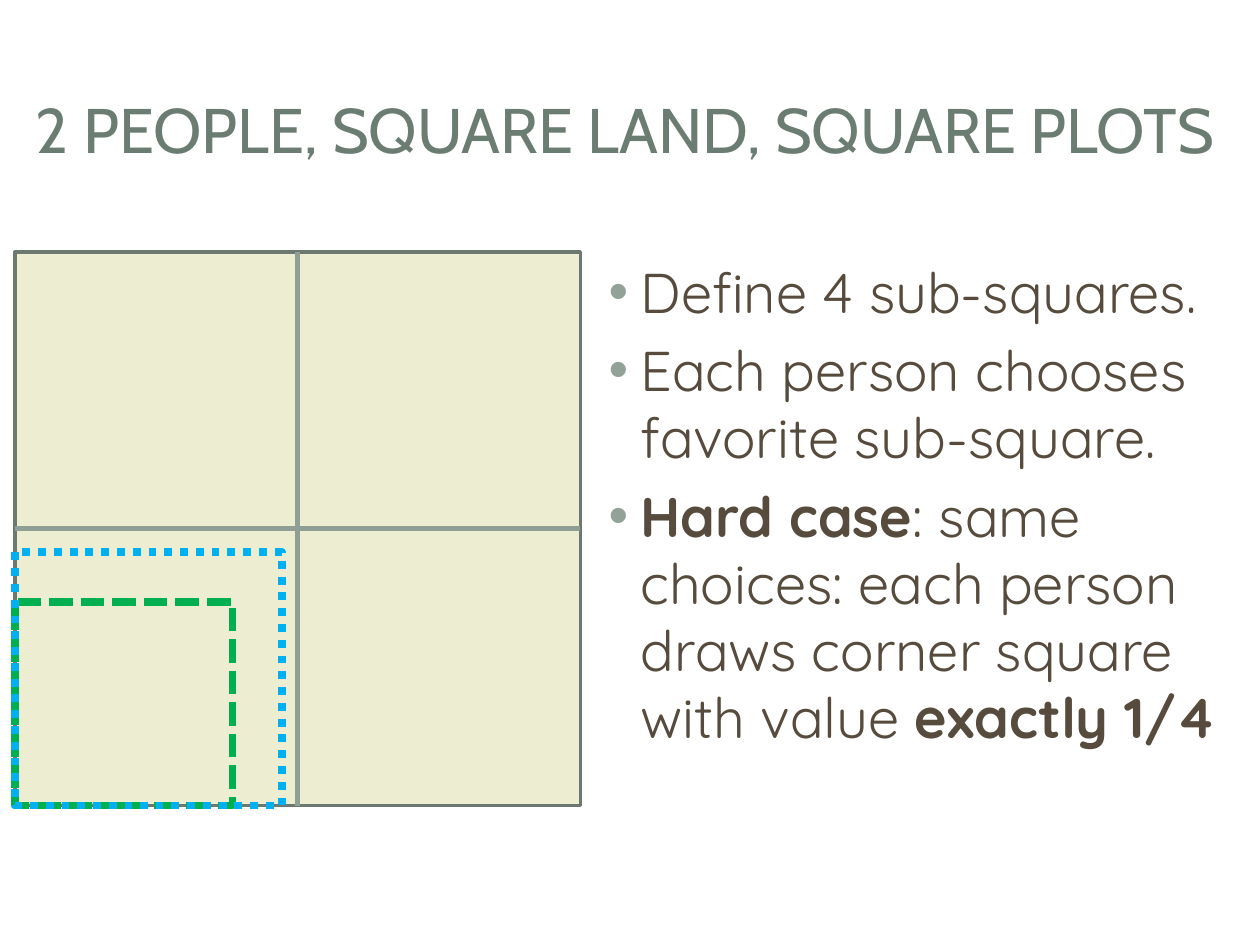
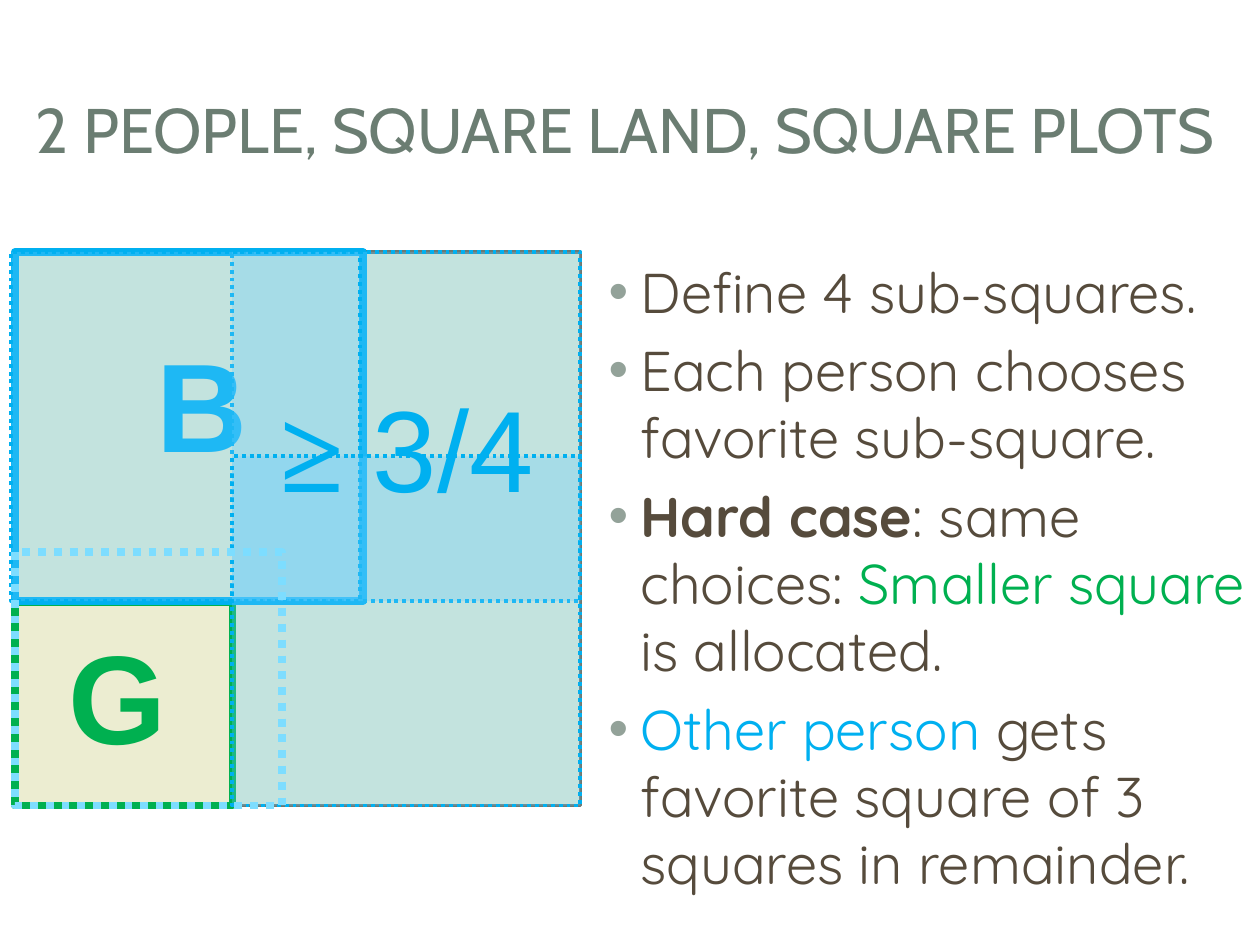
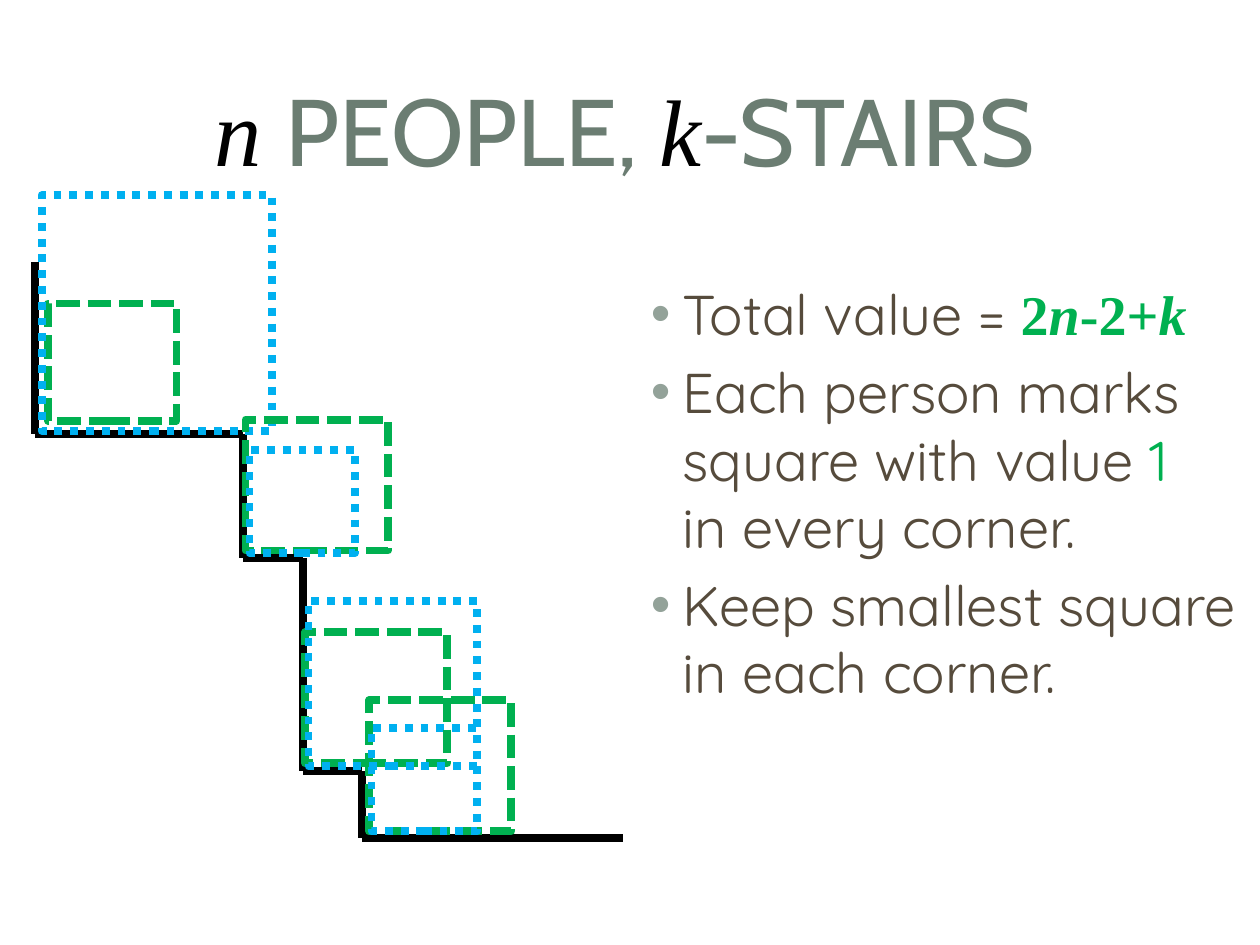
from itertools import pairwise

from lxml import etree
from pptx import Presentation
from pptx.dml import color
from pptx.enum import dml, shapes, text
from pptx.oxml import ns
from pptx.util import Cm, Pt

GREEN, BLUE, PALE_BLUE, SKY = "00B050", "00B0F0", "7DDDFF", "66CCFF"
TITLE_COLOR, BODY_COLOR, BULLET_COLOR = "6B7D72", "564B3C", "93A299"
LAND_FILL, LAND_LINE, CROSS_COLOR, BLACK = "ECEDD1", "6D7871", "8F9F96", "000000"
TITLE_FONT, BODY_FONT, LABEL_FONT, MATH_FONT = "Cabin", "Quicksand", "Arial", "Times New Roman"

DASHES = dml.MSO_LINE.SQUARE_DOT
DOTS = dml.MSO_LINE.ROUND_DOT
THICK = 4.5

LAND_LEFT, LAND_TOP, LAND_WIDTH, LAND_HEIGHT = 0.3, 5.08, 11.4, 11.16
LAND_RIGHT, LAND_BOTTOM = LAND_LEFT + LAND_WIDTH, LAND_TOP + LAND_HEIGHT
GREEN_SIZE, BLUE_SIZE, REST_SIZE = (4.39, 4.11), (5.38, 5.11), (7.02, 7.04)

LAND_TITLE = "2 PEOPLE, SQUARE LAND, SQUARE PLOTS"
MATH = {"font": MATH_FONT, "color": GREEN, "bold": True}
FIRST_STEPS = [["Define 4 sub-squares."], ["Each person chooses favorite sub-square."]]
HARD_CASE = ("Hard case", {"bold": True})

STAIRS = [(0.71, 5.28), (0.71, 8.74), (4.9, 8.74), (4.9, 11.25), (6.1, 11.25),
          (6.1, 15.54), (7.29, 15.54), (7.29, 16.89), (12.55, 16.89)]
GREEN_STAIR, BLUE_STAIR = (2.87, 2.64), (2.13, 2.08)
CORNER_SQUARES = [
    ((0.97, 6.12, 2.59, 2.36), (0.84, 3.94, 4.65, 4.75)),
    ((7.44, 14.12, *GREEN_STAIR), (7.49, 14.68, *BLUE_STAIR)),
    ((4.95, 8.46, *GREEN_STAIR), (5.03, 9.07, *BLUE_STAIR)),
    ((6.15, 12.75, *GREEN_STAIR), (6.22, 12.12, 3.4, 3.33)),
]


def rgb(hex_color):
    return color.RGBColor.from_string(hex_color)


def add_runs(paragraph, parts, **base):
    """Append parts, each a string or a (string, changes to the base format) pair."""
    for part in parts:
        words, changes = (part, {}) if isinstance(part, str) else part
        if words == "\n":
            paragraph.add_line_break()
            continue
        look = base | changes
        run = paragraph.add_run()
        run.text = words
        run.font.name = look["font"]
        run.font.size = Pt(look["size"])
        run.font.color.rgb = rgb(look["color"])
        run.font.bold = look.get("bold", False)
        run.font.italic = look.get("italic", False)


def add_text_box(slide, left, top, width, height):
    return slide.shapes.add_textbox(Cm(left), Cm(top), Cm(width), Cm(height)).text_frame


def add_title(slide, parts, size):
    frame = add_text_box(slide, 0.3, 1.14, 24.6, 2.9)
    frame.word_wrap = True
    frame.vertical_anchor = text.MSO_ANCHOR.MIDDLE
    paragraph = frame.paragraphs[0]
    paragraph.alignment = text.PP_ALIGN.CENTER
    add_runs(paragraph, parts, font=TITLE_FONT, size=size, color=TITLE_COLOR)


def add_bullet(paragraph):
    properties = paragraph._p.get_or_add_pPr()
    properties.set("marL", str(Cm(0.96)))
    properties.set("indent", str(Cm(-0.64)))
    bullet_color = etree.SubElement(properties, ns.qn("a:buClr"))
    etree.SubElement(bullet_color, ns.qn("a:srgbClr"), val=BULLET_COLOR)
    etree.SubElement(properties, ns.qn("a:buFont"), typeface="Arial")
    etree.SubElement(properties, ns.qn("a:buChar"), char="•")


def add_bullets(slide, left, top, items):
    frame = add_text_box(slide, left, top, 13.7, 13)
    frame.word_wrap = True
    for index, parts in enumerate(items):
        paragraph = frame.add_paragraph() if index else frame.paragraphs[0]
        if index:
            paragraph.space_before = Pt(6.4)
        add_bullet(paragraph)
        add_runs(paragraph, parts, font=BODY_FONT, size=32, color=BODY_COLOR)


def add_label(slide, left, top, width, height, parts, size):
    frame = add_text_box(slide, left, top, width, height)
    frame.word_wrap = False
    frame.auto_size = text.MSO_AUTO_SIZE.SHAPE_TO_FIT_TEXT
    paragraph = frame.paragraphs[0]
    paragraph.line_spacing = 0.93
    add_runs(paragraph, parts, font=LABEL_FONT, size=size, color=BLUE)


def add_rectangle(slide, left, top, width, height, line, weight=THICK,
                  dash=None, fill=None, alpha=None):
    """Draw a rectangle; alpha is the opacity of its fill in percent."""
    shape = slide.shapes.add_shape(shapes.MSO_SHAPE.RECTANGLE,
                                   Cm(left), Cm(top), Cm(width), Cm(height))
    shape.shadow.inherit = False
    shape.line.color.rgb = rgb(line)
    shape.line.width = Pt(weight)
    if dash:
        shape.line.dash_style = dash
    if fill:
        shape.fill.solid()
        shape.fill.fore_color.rgb = rgb(fill)
    else:
        shape.fill.background()
    if alpha:
        fill_color = shape._element.spPr.find(ns.qn("a:solidFill"))[0]
        etree.SubElement(fill_color, ns.qn("a:alpha"), val=str(alpha * 1000))
    return shape


def add_corner_square(slide, size, line, dash=None):
    """Draw a square in the bottom left corner of the land."""
    width, height = size
    add_rectangle(slide, LAND_LEFT, LAND_BOTTOM - height, width, height, line, dash=dash)


def add_line(slide, start, end, line, weight):
    connector = slide.shapes.add_connector(
        shapes.MSO_CONNECTOR.STRAIGHT, *(Cm(value) for value in (*start, *end)))
    connector.line.color.rgb = rgb(line)
    connector.line.width = Pt(weight)
    etree.SubElement(connector._element.spPr, ns.qn("a:effectLst"))
    return connector


def add_land_slide(slide, last_steps):
    """Set up the title, the square land and the bullets; return the land."""
    land = add_rectangle(slide, LAND_LEFT, LAND_TOP, LAND_WIDTH, LAND_HEIGHT,
                         LAND_LINE, weight=2, fill=LAND_FILL)
    add_title(slide, [LAND_TITLE], 36)
    add_bullets(slide, 11.7, 5.06, FIRST_STEPS + last_steps)
    return land


def build_choices(slide):
    land = add_land_slide(slide, [
        [HARD_CASE, ": same choices: each person draws corner square with value ",
         ("exactly 1/4", {"bold": True})],
    ])
    for first_side, last_side in ((0, 2), (1, 3)):
        connector = add_line(slide, (0, 0), (1, 1), CROSS_COLOR, 3)
        connector.begin_connect(land, first_side)
        connector.end_connect(land, last_side)
    add_corner_square(slide, GREEN_SIZE, GREEN, DASHES)
    add_corner_square(slide, BLUE_SIZE, BLUE, DOTS)


def build_allocation(slide):
    add_land_slide(slide, [
        [HARD_CASE, ": same choices: ", ("Smaller square", {"color": GREEN}), " is allocated."],
        [("Other person ", {"color": BLUE}), "gets favorite square of 3 squares in remainder."],
    ])
    add_corner_square(slide, GREEN_SIZE, GREEN)
    add_label(slide, 1.14, 12.62, 2.51, 3.18, [("G", {"color": GREEN, "bold": True})], 72)
    add_rectangle(slide, LAND_LEFT, LAND_TOP, *REST_SIZE, BLUE)
    add_label(slide, 2.9, 6.73, 2.36, 3.18, [("B", {"bold": True})], 72)
    right_column = LAND_RIGHT - REST_SIZE[0]
    bottom_row = LAND_BOTTOM - REST_SIZE[1]
    for left, top in ((right_column, LAND_TOP), (0.23, LAND_TOP), (right_column, bottom_row)):
        add_rectangle(slide, left, top, *REST_SIZE, BLUE, 2.25, DOTS, fill=SKY, alpha=30)
    add_label(slide, 5.41, 7.72, 5.66, 2.92,
              [("≥ ", {"font": MATH_FONT, "bold": True}), "3/4"], 66)
    add_corner_square(slide, BLUE_SIZE, PALE_BLUE, DOTS)


def build_stairs(slide):
    variable = {"font": MATH_FONT, "color": BLACK, "italic": True}
    add_title(slide, [("n ", variable), "PEOPLE, ", ("k", variable), "-STAIRS"], 54)
    for start, end in pairwise(STAIRS):
        add_line(slide, start, end, BLACK, THICK)
    math_variable = MATH | {"italic": True}
    add_bullets(slide, 12.55, 5.51, [
        ["Total value = ", ("2", MATH), ("n", math_variable), ("-2+", MATH),
         ("k", math_variable)],
        ["Each person marks square with value ", ("1", {"color": GREEN}), "\n",
         "in every corner."],
        ["Keep smallest square in each corner."],
    ])
    for green_square, blue_square in CORNER_SQUARES:
        add_rectangle(slide, *green_square, GREEN, dash=DASHES)
        add_rectangle(slide, *blue_square, BLUE, dash=DOTS)


def main():
    presentation = Presentation()
    presentation.slide_width, presentation.slide_height = Cm(25.4), Cm(19.05)
    blank = presentation.slide_layouts[6]
    for build in (build_choices, build_allocation, build_stairs):
        build(presentation.slides.add_slide(blank))
    presentation.save("out.pptx")


if __name__ == "__main__":
    main()
